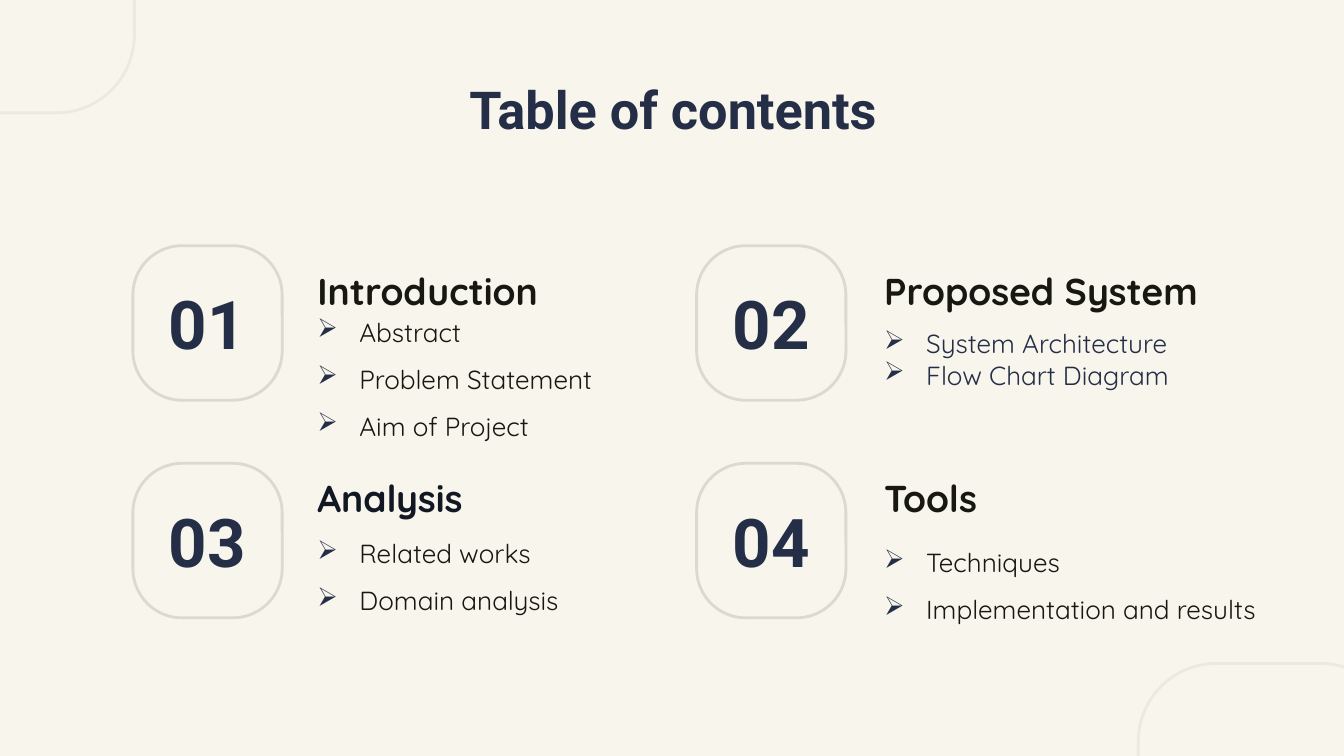
from dataclasses import dataclass

from lxml.etree import SubElement
from pptx import Presentation
from pptx.dml.color import RGBColor
from pptx.enum.shapes import MSO_SHAPE
from pptx.enum.text import MSO_ANCHOR, PP_ALIGN
from pptx.oxml.ns import qn
from pptx.util import Pt


@dataclass(frozen=True)
class Theme:
    paper: str = "F8F5EC"
    faint: str = "ECE9E1"
    frame: str = "DADACE"
    navy: str = "252E47"
    ink: str = "181812"
    deep: str = "121724"
    display: str = "Roboto"
    body: str = "Quicksand"
    title: int = 28
    number: int = 36
    head: int = 20
    item: int = 14
    indent: float = 22.5


class Deck:
    def __init__(self, theme):
        self.theme = theme
        self.show = Presentation()
        self.show.slide_width, self.show.slide_height = Pt(720), Pt(405)
        self.slide = self.show.slides.add_slide(self.show.slide_layouts[6])
        fill = self.slide.background.fill
        fill.solid()
        fill.fore_color.rgb = RGBColor.from_string(theme.paper)

    def frame(self, box, color, round_by):
        shape = self.slide.shapes.add_shape(
            MSO_SHAPE.ROUNDED_RECTANGLE, *map(Pt, box))
        shape.adjustments[0] = round_by
        shape.shadow.inherit = False
        shape.fill.background()
        shape.line.color.rgb = RGBColor.from_string(color)
        shape.line.width = Pt(1.5)

    def text(self, box, lines, size, color, font, bold=True,
             align=PP_ALIGN.LEFT, gap=1.0, bullet=False):
        frame = self.slide.shapes.add_textbox(*map(Pt, box)).text_frame
        frame.word_wrap = True
        frame.vertical_anchor = MSO_ANCHOR.MIDDLE
        frame.margin_left = frame.margin_right = Pt(7.2)
        frame.margin_top = frame.margin_bottom = Pt(7.2)
        frame.text = "\n".join(lines)
        for para in frame.paragraphs:
            if bullet:
                self.bullet(para)
            para.alignment = align
            para.line_spacing = gap
            for run in para.runs:
                run.font.name = font
                run.font.size = Pt(size)
                run.font.bold = bold
                run.font.color.rgb = RGBColor.from_string(color)

    def bullet(self, para):
        props = para._p.get_or_add_pPr()
        indent = Pt(self.theme.indent)
        props.set("marL", str(indent))
        props.set("indent", str(-indent))
        tint = SubElement(props, qn("a:buClr"))
        SubElement(tint, qn("a:srgbClr")).set("val", self.theme.navy)
        SubElement(props, qn("a:buChar")).set("char", "➢")

    def title(self, box, words):
        t = self.theme
        self.text(box, [words], t.title, t.navy, t.display,
                  align=PP_ALIGN.CENTER)

    def number(self, left, top, value):
        t = self.theme
        self.frame((left, top, 80, 82.8), t.frame, 0.33)
        self.text((left - 1.5, top, 82.8, 82.8), [f"{value:02}"], t.number,
                  t.navy, t.display, align=PP_ALIGN.CENTER)

    def head(self, box, words, color, gap):
        t = self.theme
        self.text(box, [words], t.head, color, t.body, gap=gap)

    def items(self, box, lines, color, gap):
        t = self.theme
        self.text(box, lines, t.item, color, t.body, bold=False, gap=gap,
                  bullet=True)

    def save(self):
        self.show.save("out.pptx")


def main():
    theme = Theme()
    deck = Deck(theme)

    # Corner ornaments
    for left, top in ((-67.5, -106.5), (609.8, 355.4)):
        deck.frame((left, top, 139.5, 167), theme.faint, 0.3)

    deck.title((57, 35.3, 607, 45.4), "Table of contents")

    # Sections: head, its color, list top, list width, list color, list gap
    parts = (
        ("Introduction", theme.ink, 177.8, 181.5, theme.ink, 1.5,
         ("Abstract", "Problem Statement", "Aim of Project")),
        ("Proposed System", theme.ink, 171.4, 181.5, theme.navy, 1.0,
         ("System Architecture", "Flow Chart Diagram")),
        ("Analysis", theme.deep, 283.7, 181.5, theme.ink, 1.5,
         ("Related works", "Domain analysis")),
        ("Tools", theme.ink, 288.7, 234.7, theme.ink, 1.5,
         ("Techniques", "Implementation and results")),
    )
    # Columns: number left, text left; rows: number top, head top, head gap
    cols = ((71.2, 162.9), (373.2, 466.6))
    rows = ((131.6, 128.9, 1.5), (248.2, 245.5, 1.0))
    for i, (head, tone, top, width, color, gap, lines) in enumerate(parts):
        row, col = divmod(i, 2)
        left, edge = cols[col]
        high, start, lead = rows[row]
        deck.number(left, high, i + 1)
        deck.head((edge, start, 208.8, 41.8), head, tone, lead)
        deck.items((edge, top, width, 41.8), lines, color, gap)

    deck.save()


if __name__ == "__main__":
    main()
